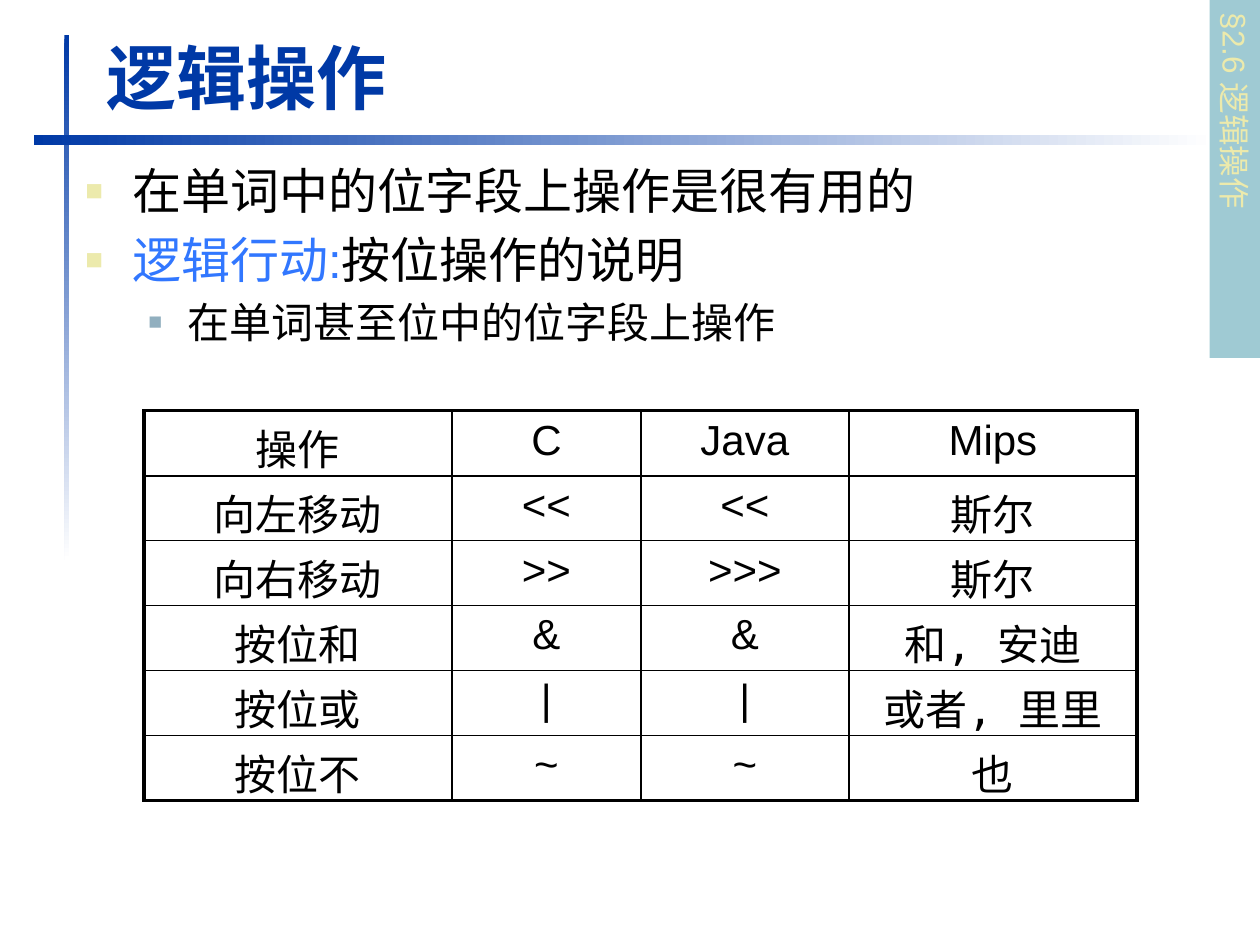
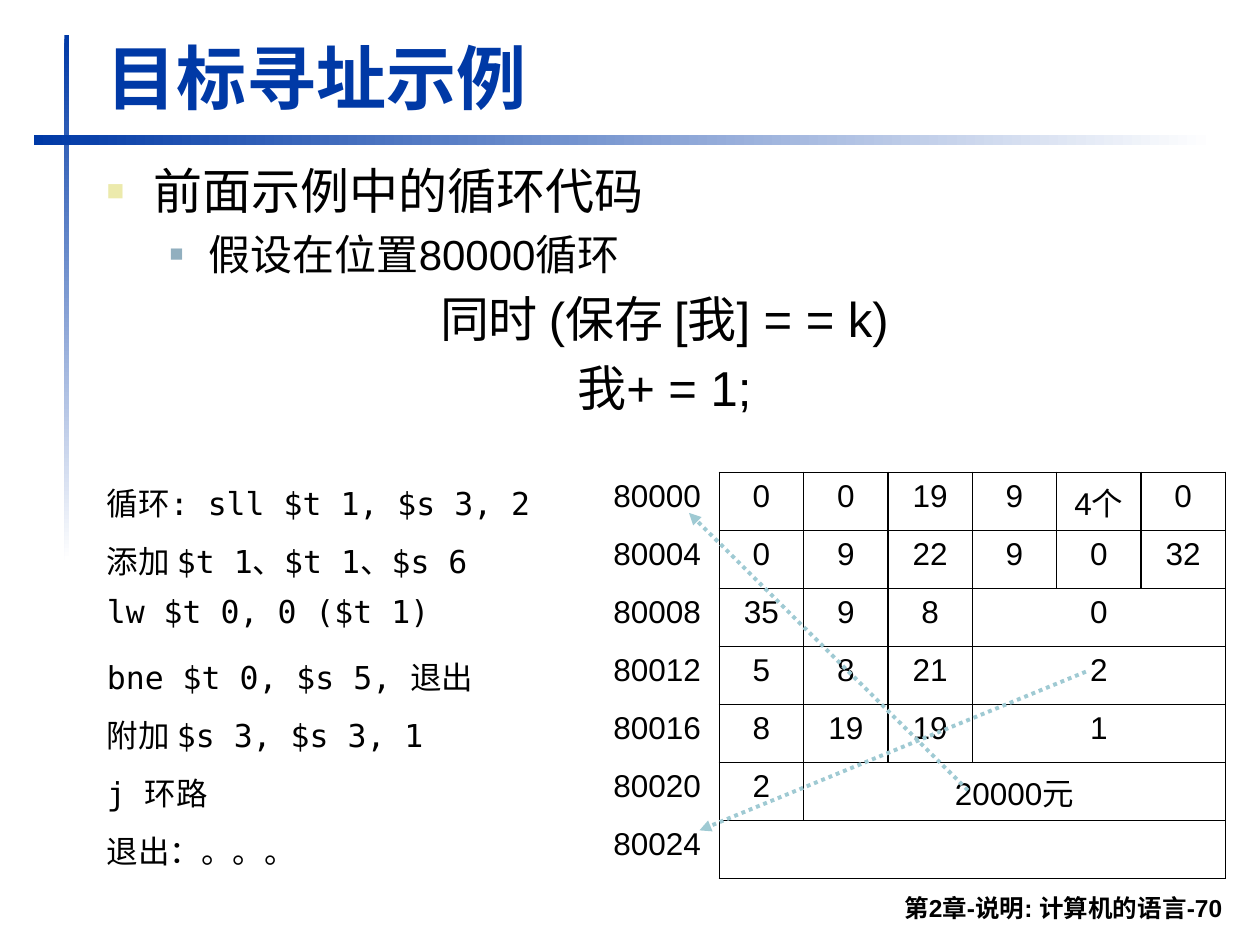
from dataclasses import dataclass

from lxml.etree import SubElement
from pptx import Presentation
from pptx.dml.color import RGBColor
from pptx.enum.dml import MSO_LINE
from pptx.enum.shapes import MSO_CONNECTOR, MSO_SHAPE
from pptx.enum.text import MSO_ANCHOR, MSO_AUTO_SIZE, PP_ALIGN
from pptx.oxml.ns import qn
from pptx.util import Cm, Pt


@dataclass(frozen=True)
class Theme:
    blue: str = "0039A6"
    bright: str = "3177FF"
    teal: str = "9FCAD3"
    sand: str = "ECEAAC"
    steel: str = "91AFBF"
    black: str = "000000"
    white: str = "FFFFFF"
    sans: str = "Arial"
    mono: str = "DejaVu Sans Mono"
    title: int = 40
    main: int = 28
    sub: int = 24
    small: int = 18
    foot: int = 14
    thin: float = 1
    rule: float = 1.5
    thick: float = 2.25


THEME = Theme()
LEVELS = {
    "main": (0, THEME.main, THEME.sand, 60, 0.95, -0.95),
    "sub": (1, THEME.sub, THEME.steel, 55, 2.06, -0.79),
    "plain": (0, THEME.main, None, None, 0, 0),
}


def rgb(code):
    return RGBColor.from_string(code)


def place(shape, box):
    shape.left, shape.top, shape.width, shape.height = map(Cm, box)


def node(parent, tag, **attrs):
    return SubElement(parent, qn(tag), {k: str(v) for k, v in attrs.items()})


def space(para):
    props = para._p.get_or_add_pPr()
    node(node(props, "a:spcBef"), "a:spcPct", val=20000)
    return props


def style(para, size, color=THEME.black, font=THEME.sans, bold=False):
    for run in para.runs:
        run.font.size = Pt(size)
        run.font.name = font
        run.font.bold = bold
        run.font.color.rgb = rgb(color)


class Deck:
    def __init__(self):
        self.prs = Presentation()
        self.prs.slide_width, self.prs.slide_height = Cm(25.4), Cm(19.05)
        self.slide = None

    def page(self, title):
        self.slide = self.prs.slides.add_slide(self.prs.slide_layouts[5])
        self.fade((1.3, 0.71, 0.1, 10.59), 270)
        self.fade((0.69, 2.72, 23.8, 0.2), 0)
        head = self.slide.shapes.title
        place(head, (1.9, 0.56, 22.94, 1.96))
        frame = head.text_frame
        frame.text = title
        frame.auto_size = MSO_AUTO_SIZE.NONE
        frame.vertical_anchor = MSO_ANCHOR.BOTTOM
        frame.paragraphs[0].alignment = PP_ALIGN.LEFT
        style(frame.paragraphs[0], THEME.title, THEME.blue, bold=True)

    def rect(self, box):
        shape = self.slide.shapes.add_shape(MSO_SHAPE.RECTANGLE, *map(Cm, box))
        shape.shadow.inherit = False
        shape.line.fill.background()
        return shape

    def fade(self, box, angle):
        fill = self.rect(box).fill
        fill.gradient()
        fill.gradient_angle = angle
        for stop, color in zip(fill.gradient_stops, (THEME.blue, THEME.white)):
            stop.color.rgb = rgb(color)

    def tab(self, text, box):
        shape = self.rect(box)
        shape.rotation = 90
        shape.fill.solid()
        shape.fill.fore_color.rgb = rgb(THEME.teal)
        frame = shape.text_frame
        frame.text = text
        frame.vertical_anchor = MSO_ANCHOR.TOP
        frame.paragraphs[0].alignment = PP_ALIGN.LEFT
        style(frame.paragraphs[0], THEME.small, THEME.sand)

    def label(self, box):
        frame = self.slide.shapes.add_textbox(*map(Cm, box)).text_frame
        frame.word_wrap = True
        return frame

    def body(self, items, box):
        frame = self.label(box)
        for i, (kind, *parts) in enumerate(items):
            para = frame.add_paragraph() if i else frame.paragraphs[0]
            level, size, color, scale, left, hang = LEVELS[kind]
            para.level = level
            para.text = parts[0]
            style(para, size, THEME.bright if len(parts) > 1 else THEME.black)
            for part in parts[1:]:
                run = para.add_run()
                run.text = part
                run.font.size = Pt(size)
                run.font.name = THEME.sans
                run.font.color.rgb = rgb(THEME.black)
            props = space(para)
            if color:
                props.set("marL", str(Cm(left)))
                props.set("indent", str(Cm(hang)))
                node(node(props, "a:buClr"), "a:srgbClr", val=color)
                node(props, "a:buSzPct", val=scale * 1000)
                node(props, "a:buFont", typeface=THEME.sans)
                node(props, "a:buChar", char="■")
            else:
                para.alignment = PP_ALIGN.CENTER

    def foot(self, text, box):
        frame = self.label(box)
        frame.text = text
        frame.vertical_anchor = MSO_ANCHOR.BOTTOM
        frame.paragraphs[0].alignment = PP_ALIGN.RIGHT
        style(frame.paragraphs[0], THEME.foot, bold=True)

    def grid(self, rows, spot, cols, high, size, mono, left, edge):
        count = len(rows), len(cols)
        box = (*spot, sum(cols), high * len(rows))
        table = self.slide.shapes.add_table(*count, *map(Cm, box)).table
        table.first_row = table.horz_banding = False
        for col, width in zip(table.columns, cols):
            col.width = Cm(width)
        for r, row in enumerate(rows):
            table.rows[r].height = Cm(high)
            for c in range(len(cols)):
                cell = table.cell(r, c)
                self.edges(cell, edge(r, c))
                cell.fill.background()
                if c >= len(row):
                    continue
                cell.text = row[c]
                para = cell.text_frame.paragraphs[0]
                para.alignment = PP_ALIGN.LEFT if c in left else PP_ALIGN.CENTER
                space(para)
                style(para, size, font=THEME.mono if mono(r, c) else THEME.sans)
            if len(row) < len(cols):
                table.cell(r, len(row) - 1).merge(table.cell(r, len(cols) - 1))

    def edges(self, cell, sides):
        props = cell._tc.get_or_add_tcPr()
        for side, (color, width) in zip("LRTB", sides):
            line = node(props, f"a:ln{side}", w=Pt(width))
            node(node(line, "a:solidFill"), "a:srgbClr", val=color)

    def arrow(self, start, end):
        link = self.slide.shapes.add_connector(
            MSO_CONNECTOR.STRAIGHT, *map(Cm, start + end))
        link.line.color.rgb = rgb(THEME.teal)
        link.line.width = Pt(THEME.thick)
        link.line.dash_style = MSO_LINE.ROUND_DOT
        node(link.line._get_or_add_ln(), "a:tailEnd", type="triangle")
        node(link._element.spPr, "a:effectLst")


OPS = [
    ("操作", "C", "Java", "Mips"),
    ("向左移动", "<<", "<<", "斯尔"),
    ("向右移动", ">>", ">>>", "斯尔"),
    ("按位和", "&", "&", "和, 安迪"),
    ("按位或", "|", "|", "或者, 里里"),
    ("按位不", "~", "~", "也"),
]
CODE = [
    ("循环: sll $t 1, $s 3, 2", "0", "0", "19", "9", "4个", "0"),
    ("添加 $t 1、$t 1、$s 6", "0", "9", "22", "9", "0", "32"),
    ("lw $t 0, 0 ($t 1)", "35", "9", "8", "0"),
    ("bne $t 0, $s 5, 退出", "5", "8", "21", "2"),
    ("附加 $s 3, $s 3, 1", "8", "19", "19", "1"),
    ("j 环路", "2", "20000元"),
    ("退出：。。。", ""),
]


def frame_edge(r, c):
    last = len(OPS) - 1
    widths = (
        THEME.thick if c == 0 else THEME.thin,
        THEME.thick if c == 3 else THEME.thin,
        {0: THEME.thick, 1: THEME.rule}.get(r, THEME.thin),
        {0: THEME.rule, last: THEME.thick}.get(r, THEME.thin),
    )
    return [(THEME.black, width) for width in widths]


def code_edge(r, c):
    pale = THEME.white if c < 2 else THEME.black
    right = THEME.white if c == 0 else THEME.black
    return [(color, THEME.thin) for color in (pale, right, pale, pale)]


def logic(deck):
    deck.page("逻辑操作")
    deck.body([
        ("main", "在单词中的位字段上操作是很有用的"),
        ("main", "逻辑行动:", "按位操作的说明"),
        ("sub", "在单词甚至位中的位字段上操作"),
    ], (1.47, 3.12, 23.5, 3.2))
    deck.grid(OPS, (2.9, 8.28), (6.21, 3.81, 4.19, 5.81), 1.31, THEME.sub,
              lambda r, c: r > 0 and c == 3, (), frame_edge)
    deck.tab("§2.6 逻辑操作", (21.29, 3.1, 7.21, 1.02))


def target(deck):
    deck.page("目标寻址示例")
    deck.foot("第2章-说明: 计算机的语言-70", (4.7, 17.73, 20.19, 0.99))
    deck.body([
        ("main", "前面示例中的循环代码"),
        ("sub", "假设在位置80000循环"),
        ("plain", "同时 (保存 [我] = = k)"),
        ("plain", "我+ = 1;"),
    ], (1.9, 3.12, 22.99, 3.4))
    rows = [(code, str(80000 + 4 * i), *words)
            for i, (code, *words) in enumerate(CODE)]
    deck.grid(rows, (1.9, 9.52), (10.21, 2.39) + (1.7,) * 6, 1.17, THEME.small,
              lambda r, c: c == 0, (0, 1), code_edge)
    deck.arrow((19.51, 15.93), (13.89, 10.34))
    deck.arrow((21.89, 13.54), (14.1, 16.74))


def main():
    deck = Deck()
    logic(deck)
    target(deck)
    deck.prs.save("out.pptx")


if __name__ == "__main__":
    main()
